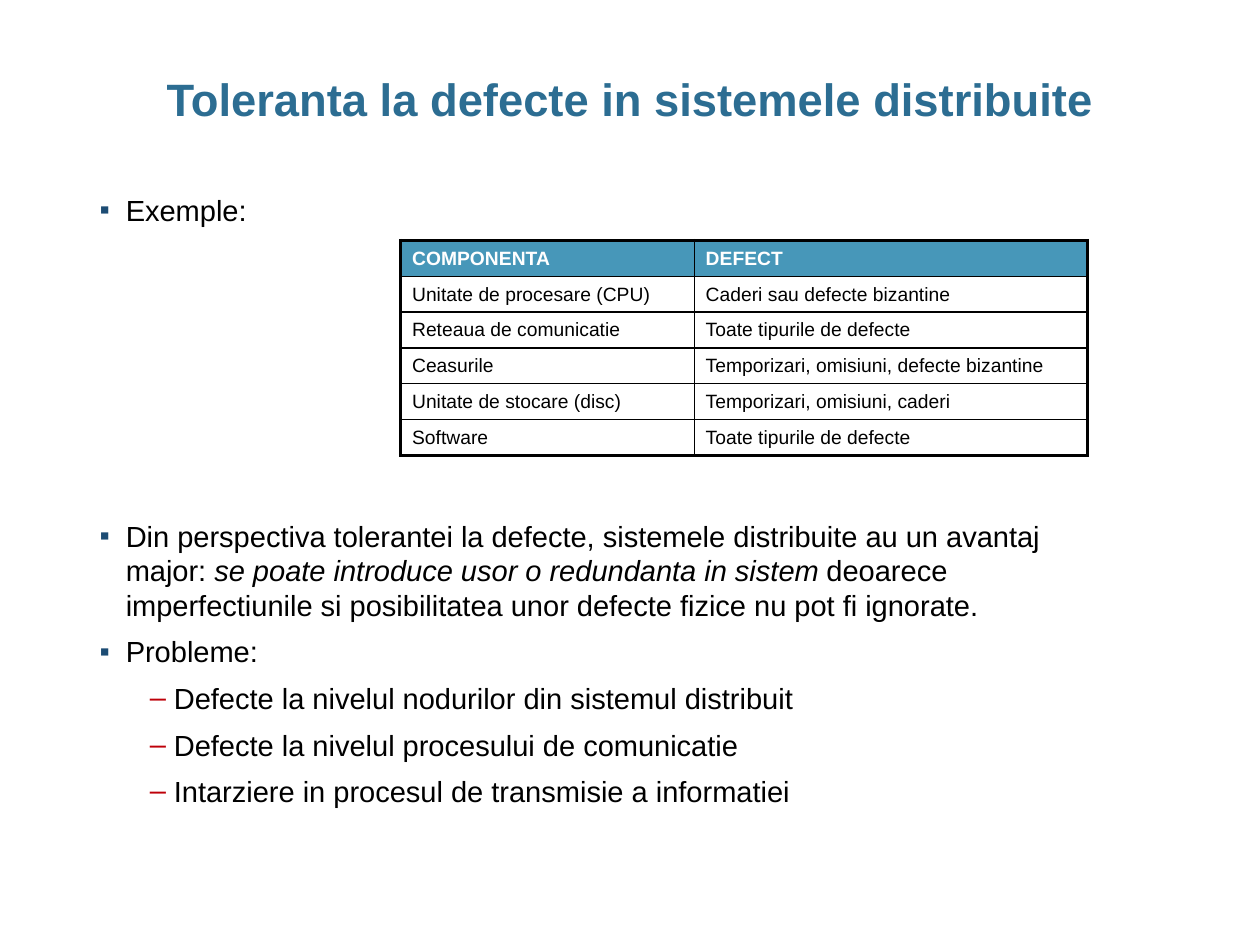
from lxml import etree
from pptx import Presentation
from pptx.dml.color import RGBColor
from pptx.enum.text import MSO_ANCHOR, PP_ALIGN
from pptx.oxml.ns import qn
from pptx.util import Pt

CENTER = PP_ALIGN.CENTER
TOP = MSO_ANCHOR.TOP
MIDDLE = MSO_ANCHOR.MIDDLE
FONT = "Arial"
BLACK = "000000"
WHITE = "FFFFFF"
TITLE_BLUE = "2C6D92"
HEADER_BLUE = "4797B9"

LINE = 19.7
GAP = 6.9
TABLE_GAP = 166.6
BULLETS = [
    {"char": "▪", "color": "1C4C74", "left": 15, "hanging": 15},
    {"char": "‒", "color": "BE0009", "left": 42.5, "hanging": 13.7},
]
BODY = [
    (0, 0, ["Exemple:"]),
    (0, TABLE_GAP, [
        "Din perspectiva tolerantei la defecte, sistemele distribuite au un avantaj major: ",
        "se poate introduce usor o redundanta in sistem ",
        "deoarece imperfectiunile si posibilitatea unor defecte fizice nu pot fi ignorate.",
    ]),
    (0, GAP, ["Probleme:"]),
    (1, GAP, ["Defecte la nivelul nodurilor din sistemul distribuit"]),
    (1, GAP, ["Defecte la nivelul procesului de comunicatie"]),
    (1, GAP, ["Intarziere in procesul de transmisie a informatiei"]),
]
ROWS = [
    ("COMPONENTA", "DEFECT"),
    ("Unitate de procesare (CPU)", "Caderi sau defecte bizantine"),
    ("Reteaua de comunicatie", "Toate tipurile de defecte"),
    ("Ceasurile", "Temporizari, omisiuni, defecte bizantine"),
    ("Unitate de stocare (disc)", "Temporizari, omisiuni, caderi"),
    ("Software", "Toate tipurile de defecte"),
]
COLUMN_WIDTHS = [167.8, 224.6]
ROW_HEIGHT = 20


def rgb(color):
    return RGBColor.from_string(color)


def set_attributes(target, values):
    for name, value in values.items():
        setattr(target, name, value)


def add_span(para, text, size, color, **styles):
    span = para.add_run()
    span.text = text
    set_attributes(span.font, {"name": FONT, "size": Pt(size), **styles})
    span.font.color.rgb = rgb(color)


def add_box(page, left, top, width, height):
    box = page.shapes.add_textbox(Pt(left), Pt(top), Pt(width), Pt(height))
    set_attributes(box.text_frame, {
        "word_wrap": True, "vertical_anchor": TOP,
        "margin_left": 0, "margin_right": 0,
        "margin_top": Pt(3.6), "margin_bottom": Pt(3.6),
    })
    return box.text_frame


def add_bullet(para, char, color, left, hanging):
    properties = para._p.get_or_add_pPr()
    properties.set("marL", str(Pt(left)))
    properties.set("indent", str(-Pt(hanging)))
    bullet_color = etree.SubElement(properties, qn("a:buClr"))
    etree.SubElement(bullet_color, qn("a:srgbClr"), val=color)
    etree.SubElement(properties, qn("a:buFont"), typeface=FONT)
    etree.SubElement(properties, qn("a:buChar"), char=char)


def add_title(page, text):
    para = add_box(page, 36, 39.6, 648, 72).paragraphs[0]
    set_attributes(para, {"alignment": CENTER, "line_spacing": 0.95})
    add_span(para, text, 25.9, TITLE_BLUE, bold=True)


def add_body(page):
    frame = add_box(page, 56.9, 106.6, 581, 344.9)
    for index, (level, space, texts) in enumerate(BODY):
        para = frame.add_paragraph() if index else frame.paragraphs[0]
        add_bullet(para, **BULLETS[level])
        set_attributes(para, {
            "level": level, "line_spacing": Pt(LINE), "space_before": Pt(space),
        })
        for position, text in enumerate(texts):
            add_span(para, text, 16.6, BLACK, italic=position == 1)


def set_borders(cell, widths):
    properties = cell._tc.get_or_add_tcPr()
    for index, (side, width) in enumerate(widths.items()):
        line = etree.Element(qn(f"a:ln{side}"), w=str(Pt(width)))
        fill = etree.SubElement(line, qn("a:solidFill"))
        etree.SubElement(fill, qn("a:srgbClr"), val=BLACK)
        properties.insert(index, line)


def fill_cell(cell, text, header):
    set_attributes(cell, {
        "margin_left": Pt(6.5), "margin_right": Pt(6.5),
        "margin_top": Pt(3.6), "margin_bottom": Pt(3.6),
        "vertical_anchor": MIDDLE,
    })
    cell.fill.solid()
    cell.fill.fore_color.rgb = rgb(HEADER_BLUE if header else WHITE)
    add_span(cell.text_frame.paragraphs[0], text, 11,
             WHITE if header else BLACK, bold=header)


def add_defect_table(page):
    last_row, last_column = len(ROWS) - 1, len(COLUMN_WIDTHS) - 1
    table = page.shapes.add_table(
        len(ROWS), len(COLUMN_WIDTHS), Pt(229), Pt(137.5),
        Pt(sum(COLUMN_WIDTHS)), Pt(ROW_HEIGHT * len(ROWS))).table
    set_attributes(table, {"first_row": False, "horz_banding": False})
    for column, width in zip(table.columns, COLUMN_WIDTHS):
        column.width = Pt(width)
    for row_index, texts in enumerate(ROWS):
        table.rows[row_index].height = Pt(ROW_HEIGHT)
        for column_index, text in enumerate(texts):
            cell = table.cell(row_index, column_index)
            fill_cell(cell, text, row_index == 0)
            outer = {
                "L": column_index == 0, "R": column_index == last_column,
                "T": row_index == 0, "B": row_index == last_row,
            }
            set_borders(cell, {side: 2.25 if edge else 1
                               for side, edge in outer.items()})


def main():
    deck = Presentation()
    set_attributes(deck, {"slide_width": Pt(720), "slide_height": Pt(540)})
    page = deck.slides.add_slide(deck.slide_layouts[6])
    add_title(page, "Toleranta la defecte in sistemele distribuite")
    add_body(page)
    add_defect_table(page)
    deck.save("out.pptx")


if __name__ == "__main__":
    main()
